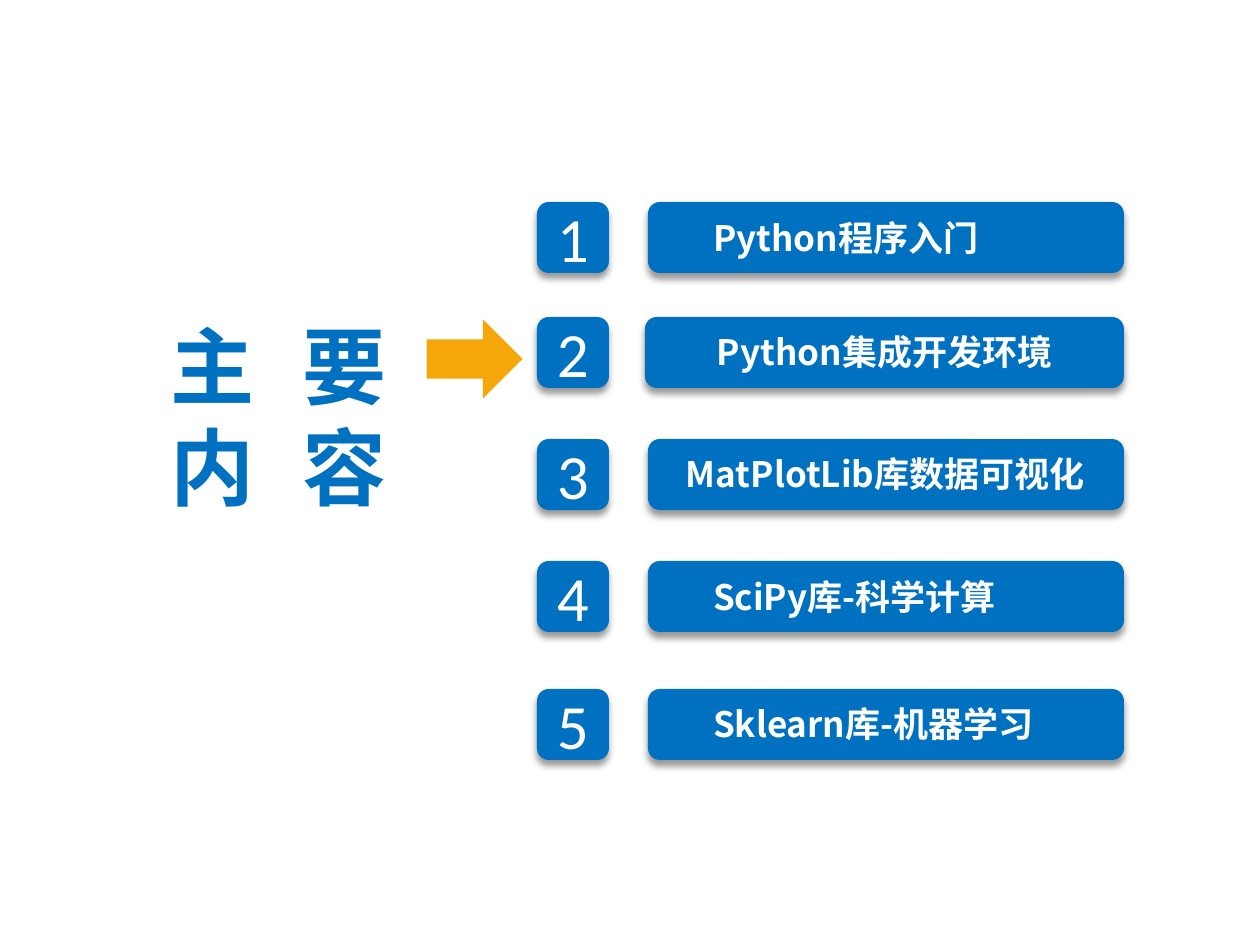
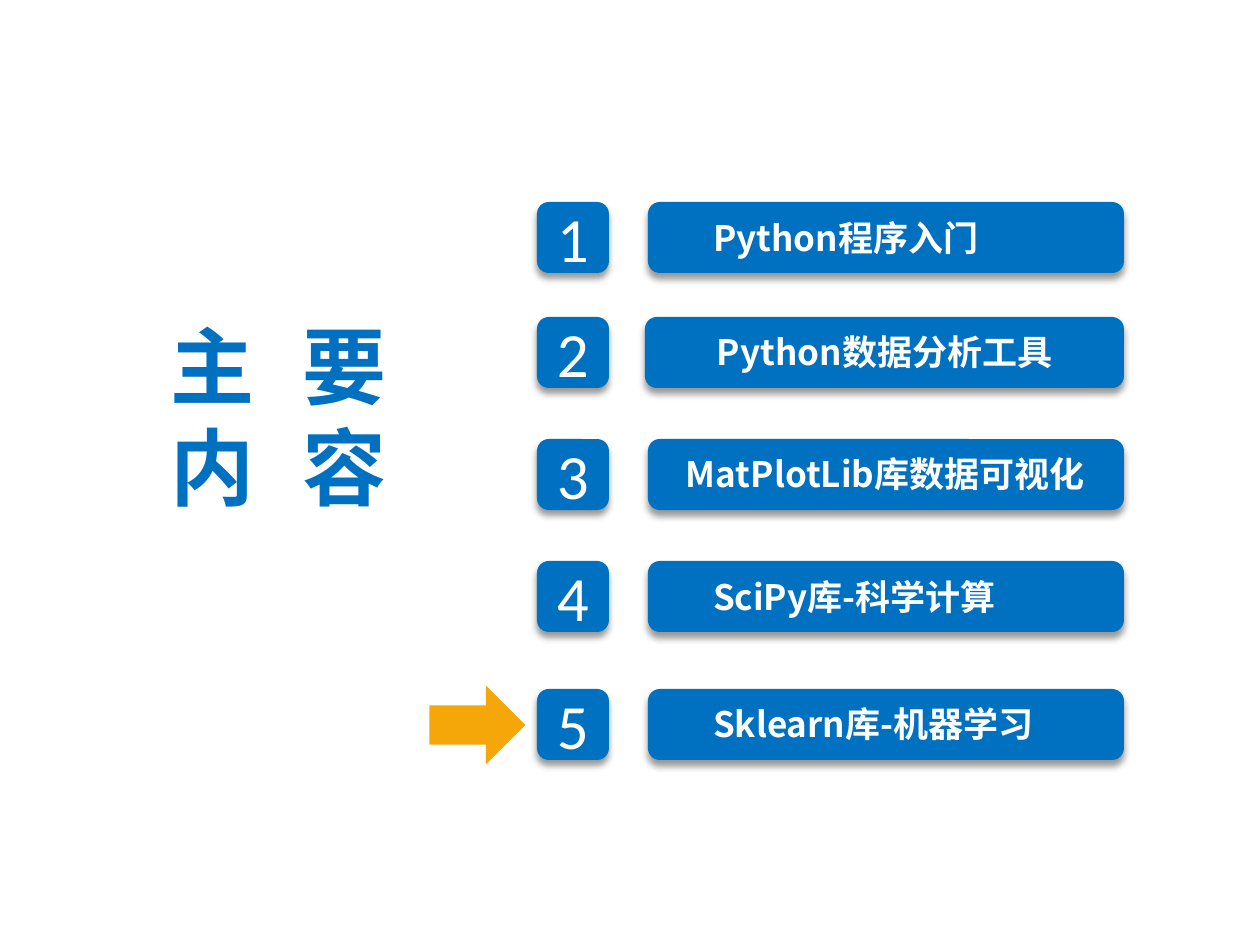
from dataclasses import dataclass

from lxml import etree
from pptx import Presentation
from pptx import util as u
from pptx.dml.color import RGBColor
from pptx.enum import shapes, text
from pptx.oxml import ns

PX = u.Inches(1) / 126
BLUE = RGBColor(0x00, 0x70, 0xC0)
ORANGE = RGBColor(0xF5, 0xA6, 0x09)
WHITE = RGBColor(0xFF, 0xFF, 0xFF)
CJK, LATIN = "Noto Sans CJK SC", "Calibri"
INSET_X, INSET_Y = 16, 9
BADGE_LEFT, BADGE_WIDTH, ROW_HEIGHT = 537, 72, 71
BAR_RIGHT = 1124
LABEL_DROP, LABEL_HEIGHT = 5, 59


@dataclass(frozen=True)
class Row:
    top: int
    label: str
    label_left: int = 697
    label_width: int = 407
    bar_left: int = 648


@dataclass(frozen=True)
class Agenda:
    second_topic: str
    arrow_left: int
    arrow_top: int


AGENDAS = [
    Agenda("Python集成开发环境", 435, 311),
    Agenda("Python数据分析工具", 438, 677),
]


def px(*lengths: int) -> list[u.Emu]:
    return [u.Emu(round(n * PX)) for n in lengths]


def add_block(parent, kind, box: tuple[int, int, int, int], color: RGBColor):
    sp = parent.add_shape(kind, *px(*box))
    sp.shadow.inherit = False
    sp.fill.solid()
    sp.fill.fore_color.rgb = color
    sp.line.fill.background()
    return sp


def add_rounded(parent, left: int, top: int, width: int):
    """Blue rounded block with a soft shadow straight below it."""
    sp = add_block(parent, shapes.MSO_SHAPE.ROUNDED_RECTANGLE,
                   (left, top, width, ROW_HEIGHT), BLUE)
    effects = sp._element.spPr.find(ns.qn("a:effectLst"))
    shadow = etree.SubElement(
        effects, ns.qn("a:outerShdw"), blurRad=str(u.Pt(4)),
        dist=str(u.Pt(3)), dir="5400000", rotWithShape="0")
    color = etree.SubElement(shadow, ns.qn("a:srgbClr"), val="000000")
    etree.SubElement(color, ns.qn("a:alpha"), val="40000")
    return sp


def set_frame(tf) -> None:
    tf.word_wrap = True
    tf.margin_left, tf.margin_top = px(INSET_X, INSET_Y)
    tf.margin_right, tf.margin_bottom = tf.margin_left, tf.margin_top


def add_run(p, content: str, font: str, size: int, color: RGBColor,
            bold: bool = False, spacing: int = 0) -> None:
    """Append a run; spacing is in hundredths of a point."""
    r = p.add_run()
    r.text = content
    r.font.name, r.font.size, r.font.bold = font, u.Pt(size), bold
    r.font.color.rgb = color
    props = r.font._element
    if spacing:
        props.set("spc", str(spacing))
    etree.SubElement(props, ns.qn("a:ea"), typeface=font)


def add_text_box(parent, left: int, top: int, width: int, height: int):
    tf = parent.add_textbox(*px(left, top, width, height)).text_frame
    set_frame(tf)
    tf.auto_size = text.MSO_AUTO_SIZE.SHAPE_TO_FIT_TEXT
    return tf


def add_row(s, number: int, row: Row) -> None:
    badge = add_rounded(s.shapes, BADGE_LEFT, row.top, BADGE_WIDTH)
    tf = badge.text_frame
    set_frame(tf)
    tf.vertical_anchor = text.MSO_ANCHOR.MIDDLE
    p = tf.paragraphs[0]
    p.alignment = text.PP_ALIGN.CENTER
    add_run(p, str(number), LATIN, 36, WHITE)

    group = s.shapes.add_group_shape().shapes
    add_rounded(group, row.bar_left, row.top, BAR_RIGHT - row.bar_left)
    tf = add_text_box(group, row.label_left, row.top + LABEL_DROP,
                      row.label_width, LABEL_HEIGHT)
    add_run(tf.paragraphs[0], row.label, CJK, 20, WHITE, bold=True)


def add_title(s) -> None:
    tf = add_text_box(s.shapes, 42, 306, 473, 221)
    for i, (first, last) in enumerate(["主要", "内容"]):
        p = tf.add_paragraph() if i else tf.paragraphs[0]
        p.alignment = text.PP_ALIGN.CENTER
        for content, spacing in ((first, 200), (" ", 1480), (last, 200)):
            add_run(p, content, CJK, 48, BLUE, bold=True, spacing=spacing)


def add_agenda(prs, agenda: Agenda) -> None:
    s = prs.slides.add_slide(prs.slide_layouts[6])
    rows = [
        Row(202, "Python程序入门"),
        Row(317, agenda.second_topic, 701, 469, 645),
        Row(439, "MatPlotLib库数据可视化", 670, 455),
        Row(561, "SciPy库-科学计算"),
        Row(689, "Sklearn库-机器学习"),
    ]
    for number, row in enumerate(rows, 1):
        add_row(s, number, row)
    add_title(s)
    arrow = add_block(s.shapes, shapes.MSO_SHAPE.DOWN_ARROW,
                      (agenda.arrow_left, agenda.arrow_top, 79, 96), ORANGE)
    arrow.rotation = 270


def main() -> None:
    prs = Presentation()
    prs.slide_width, prs.slide_height = px(1260, 945)
    for agenda in AGENDAS:
        add_agenda(prs, agenda)
    prs.save("out.pptx")


if __name__ == "__main__":
    main()
